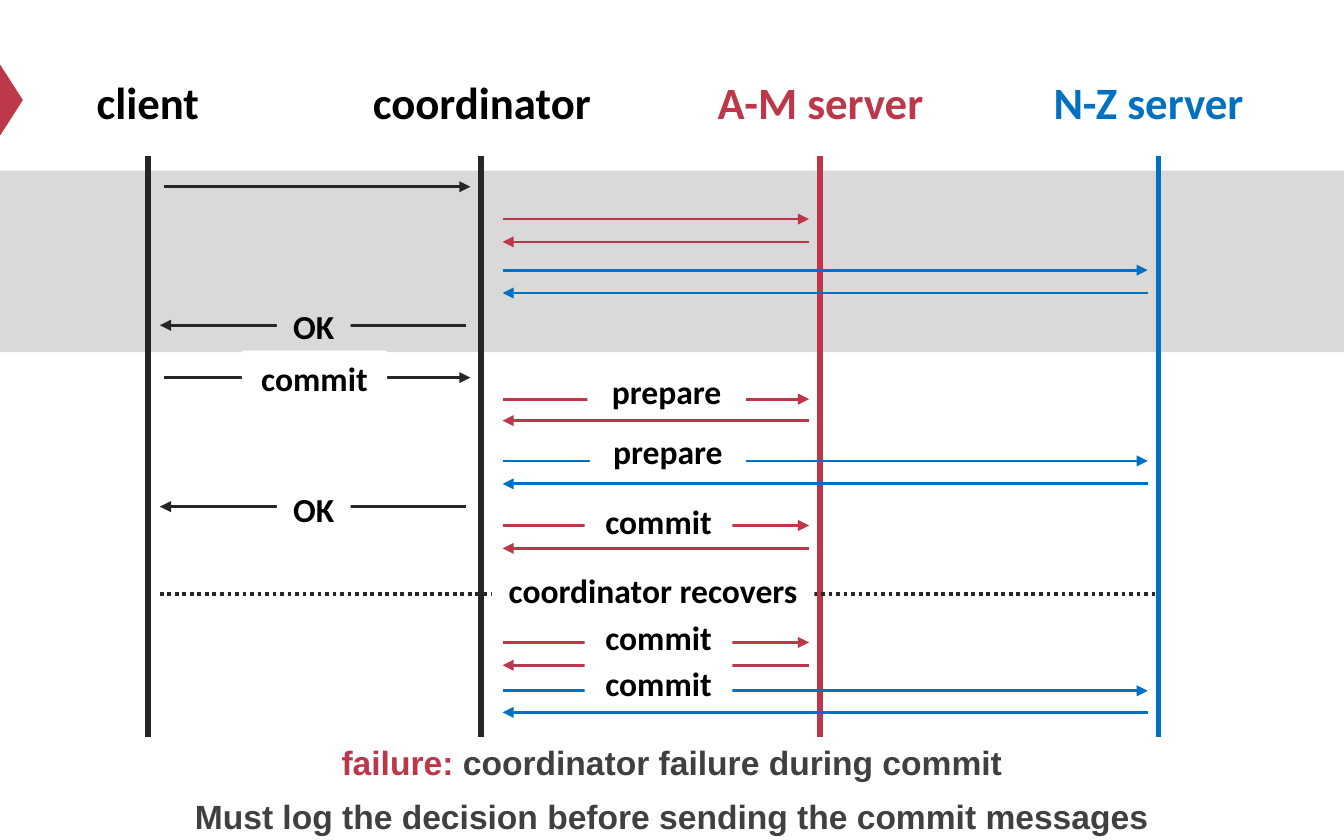
from dataclasses import dataclass

from lxml import etree
from pptx import Presentation
from pptx.dml.color import RGBColor
from pptx.enum.dml import MSO_LINE
from pptx.enum.shapes import MSO_CONNECTOR, MSO_SHAPE
from pptx.enum.text import MSO_ANCHOR, MSO_AUTO_SIZE, PP_ALIGN
from pptx.oxml.ns import qn
from pptx.util import Pt

CENTER = PP_ALIGN.CENTER
STRAIGHT = MSO_CONNECTOR.STRAIGHT
RECT, TRIANGLE = MSO_SHAPE.RECTANGLE, MSO_SHAPE.ISOSCELES_TRIANGLE
PX = 9144  # 100 px to the inch


@dataclass(frozen=True)
class Theme:
    black: str = "000000"
    dark: str = "262626"
    gray: str = "404040"
    band: str = "D9D9D9"
    white: str = "FFFFFF"
    red: str = "BD374B"
    blue: str = "0070C0"
    marker: str = "BE384B"
    heading: int = 24
    label: int = 18
    diagram_font: str = "Calibri"
    note_font: str = "Arial"


T = Theme()

prs = Presentation()
prs.slide_width, prs.slide_height = 1000 * PX, 625 * PX
s = prs.slides.add_slide(prs.slide_layouts[1])
s.shapes.title.element.getparent().remove(s.shapes.title.element)


def add_text(p, text, *, size=T.label, color=T.black, font=T.diagram_font):
    p.alignment = CENTER
    r = p.add_run()
    r.text = text
    r.font.name, r.font.size, r.font.bold = font, Pt(size), True
    r.font.color.rgb = RGBColor.from_string(color)


def add_line(x1, y1, x2, y2, color, *, width=1.5, arrow=False):
    line = s.shapes.add_connector(STRAIGHT, x1 * PX, y1 * PX, x2 * PX, y2 * PX)
    line.line.color.rgb = RGBColor.from_string(color)
    line.line.width = Pt(width)
    if arrow:
        etree.SubElement(line.line._get_or_add_ln(), qn("a:tailEnd"), type="triangle")
    etree.SubElement(line._element.spPr, qn("a:effectLst"))
    return line


# Side marker and the shaded phase
for kind, x, y, w, h, color, turn in [
    (TRIANGLE, -18, 66, 53, 17, T.marker, 90),
    (RECT, 0, 127, 1000, 135, T.band, 0),
]:
    sp = s.shapes.add_shape(kind, x * PX, y * PX, w * PX, h * PX)
    sp.rotation = turn
    sp.shadow.inherit = False
    sp.fill.solid()
    sp.fill.fore_color.rgb = RGBColor.from_string(color)
    sp.line.fill.background()

# Participants: name, heading left and width, lifeline x
for name, x, w, life_x, color, line_color in [
    ("client", 51, 118, 110, T.black, T.dark),
    ("coordinator", 256, 205, 358, T.black, T.dark),
    ("A-M server", 508, 205, 610, T.red, T.red),
    ("N-Z server", 752, 205, 862, T.blue, T.blue),
]:
    sp = s.shapes.add_textbox(x * PX, 51 * PX, w * PX, 50 * PX)
    sp.text_frame.word_wrap = True
    add_text(sp.text_frame.paragraphs[0], name, size=T.heading, color=color)
    add_line(life_x, 116, life_x, 548, line_color, width=3)

# Kinds of message: start x, end x, colour
REQUEST, REPLY = (122, 350, T.dark), (347, 119, T.dark)
TO_AM, FROM_AM = (374, 602, T.red), (602, 374, T.red)
TO_NZ, FROM_NZ = (374, 854, T.blue), (854, 374, T.blue)
RECOVERY = (119, 862, T.dark)

# Messages in time order: kind, y, label as (text, left, top, width, fill)
for kind, y, label in [
    (REQUEST, 139, None),
    (TO_AM, 163, None),
    (FROM_AM, 180, None),
    (TO_NZ, 201, None),
    (FROM_NZ, 218, None),
    (REPLY, 242, ("OK", 206, 223, 55, T.band)),
    (REQUEST, 281, ("commit", 180, 261, 108, T.white)),
    (TO_AM, 297, ("prepare", 437, 271, 118, T.white)),
    (FROM_AM, 313, None),
    (TO_NZ, 343, ("prepare", 439, 316, 116, T.white)),
    (FROM_NZ, 360, None),
    (REPLY, 377, ("OK", 206, 359, 55, T.white)),
    (TO_AM, 391, ("commit", 435, 368, 110, T.white)),
    (FROM_AM, 408, None),
    (RECOVERY, 442, ("coordinator recovers", 366, 419, 240, T.white)),
    (TO_AM, 478, ("commit", 435, 454, 110, T.white)),
    (FROM_AM, 495, None),
    (TO_NZ, 514, ("commit", 435, 488, 110, T.white)),
    (FROM_NZ, 530, None),
]:
    x1, x2, color = kind
    if kind == RECOVERY:
        line = add_line(x1, y, x2, y, color, width=2)
        line.line.dash_style = MSO_LINE.ROUND_DOT
    else:
        add_line(x1, y, x2, y, color, arrow=True)
    if label:
        text, x, top, w, fill = label
        sp = s.shapes.add_shape(RECT, x * PX, top * PX, w * PX, 40 * PX)
        sp.shadow.inherit = False
        sp.fill.solid()
        sp.fill.fore_color.rgb = RGBColor.from_string(fill)
        sp.line.fill.background()
        sp.text_frame.word_wrap = False
        add_text(sp.text_frame.paragraphs[0], text)

# Conclusion
body = s.placeholders[1]
body.left, body.top, body.width, body.height = 50 * PX, 541 * PX, 900 * PX, 84 * PX
tf = body.text_frame
tf.auto_size = MSO_AUTO_SIZE.NONE
tf.vertical_anchor = MSO_ANCHOR.TOP
for i, runs in enumerate([
    [("failure: ", T.red), ("coordinator failure during commit", T.gray)],
    [("Must log the decision before sending the commit messages", T.gray)],
]):
    p = tf.add_paragraph() if i else tf.paragraphs[0]
    p.line_spacing = 1.2
    p.space_before = Pt(3 if i else 0)
    pPr = p._p.get_or_add_pPr()
    pPr.set("marL", "0")
    pPr.set("indent", "0")
    etree.SubElement(pPr, qn("a:buNone"))
    for text, color in runs:
        add_text(p, text, color=color, font=T.note_font)

prs.save("out.pptx")
